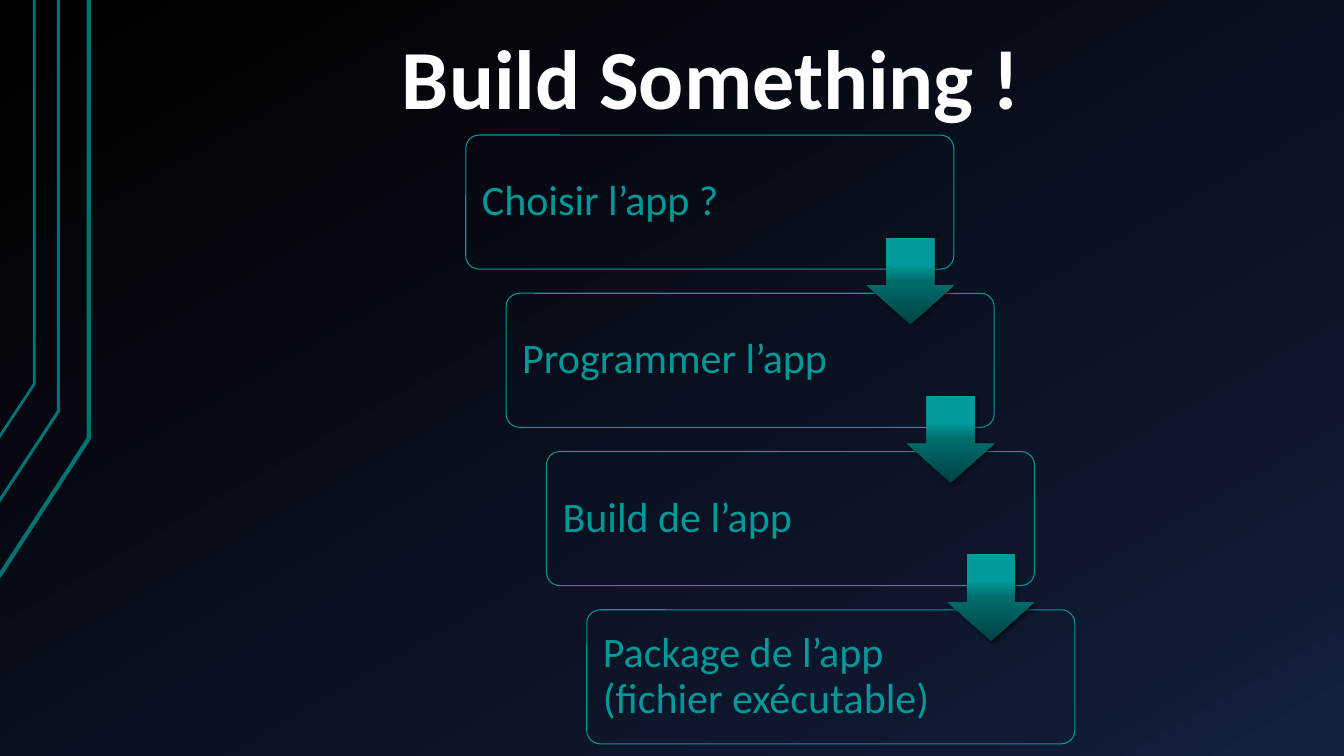
"""Build the "Build Something !" slide: four descending steps linked by arrows."""
from dataclasses import dataclass

from lxml.etree import SubElement
from pptx import Presentation
from pptx.dml.color import RGBColor
from pptx.enum.shapes import MSO_SHAPE as Preset
from pptx.enum.text import MSO_ANCHOR as Anchor, PP_ALIGN as Align
from pptx.oxml.ns import qn
from pptx.util import Inches, Pt

COLORS = {
    "title": "FFFFFF",
    "step": "009999",
    "rail": "007373",
    "shadow": "000000",
}
NIGHT = ((0, "000000"), (85, "0F1931"), (100, "142242"))
TEAL = ((0, "004343"), (50, "006C6C"), (70, "019B9B"), (100, "009999"))
FONT = "Calibri"
STEP_LEFT, STEP_TOP, STEP_SHIFT, STEP_PITCH = 4.62, 1.34, 0.4, 1.57
STEP_WIDTH, STEP_HEIGHT, ARROW_SIZE = 4.84, 1.33, 0.86


@dataclass
class Rail:
    points: tuple[tuple[float, float], ...]
    weight: float


@dataclass
class Label:
    text: str
    left: float
    top: float
    width: float
    height: float
    size: int
    color: str
    margins: tuple[float, float]
    anchor: Anchor = Anchor.MIDDLE
    align: Align = Align.LEFT
    bold: bool = False


RAILS = (
    Rail(((-0.01, 5.72), (0.88, 4.35), (0.88, 0)), 3),
    Rail(((-0.02, 4.99), (0.58, 4.08), (0.58, 0)), 2.25),
    Rail(((-0.01, 4.34), (0.34, 3.81), (0.34, 0)), 2),
)
STEPS = (
    "Choisir l’app ?",
    "Programmer l’app",
    "Build de l’app",
    "Package de l’app (fichier exécutable)",
)


def rgb(name: str) -> RGBColor:
    return RGBColor.from_string(COLORS[name])


def set_gradient(fill, owner, stops: tuple, clockwise: int) -> None:
    fill.gradient()
    fill.gradient_angle = 360 - clockwise
    stop_list = next(owner.iter(qn("a:gsLst")))
    for old_stop in list(stop_list):
        stop_list.remove(old_stop)
    for position, color in stops:
        stop = SubElement(stop_list, qn("a:gs"), pos=str(position * 1000))
        SubElement(stop, qn("a:srgbClr"), val=color)


def outline(shape, color: str, weight: float) -> None:
    shape.shadow.inherit = False
    shape.fill.background()
    shape.line.color.rgb = rgb(color)
    shape.line.width = Pt(weight)


def draw_rail(slide, rail: Rail) -> None:
    start, *rest = [(Inches(x), Inches(y)) for x, y in rail.points]
    builder = slide.shapes.build_freeform(*start)
    builder.add_line_segments(rest, close=False)
    outline(builder.convert_to_shape(), "rail", rail.weight)


def draw_label(slide, label: Label) -> None:
    bounds = (label.left, label.top, label.width, label.height)
    frame = slide.shapes.add_textbox(*map(Inches, bounds)).text_frame
    frame.word_wrap = True
    frame.vertical_anchor = label.anchor
    frame.margin_left = frame.margin_right = Inches(label.margins[0])
    frame.margin_top = frame.margin_bottom = Inches(label.margins[1])
    paragraph = frame.paragraphs[0]
    paragraph.alignment = label.align
    paragraph.line_spacing = 0.9
    run = paragraph.add_run()
    run.text = label.text
    run.font.name = FONT
    run.font.size = Pt(label.size)
    run.font.bold = label.bold
    run.font.color.rgb = rgb(label.color)


def draw_step(slide, text: str, left: float, top: float) -> None:
    card = slide.shapes.add_shape(Preset.ROUNDED_RECTANGLE, Inches(left), Inches(top),
                                  Inches(STEP_WIDTH), Inches(STEP_HEIGHT))
    card.adjustments[0] = 0.1
    outline(card, "step", 0.75)
    draw_label(slide, Label(text, left + 0.04, top + 0.04, 3.5, 1.25, 30, "step", (0.12, 0.12)))


def draw_arrow(slide, left: float, top: float) -> None:
    arrow = slide.shapes.add_shape(Preset.DOWN_ARROW, Inches(left), Inches(top),
                                   Inches(ARROW_SIZE), Inches(ARROW_SIZE))
    arrow.adjustments[0], arrow.adjustments[1] = 0.55, 0.45
    arrow.line.fill.background()
    set_gradient(arrow.fill, arrow.element, TEAL, 270)
    arrow.shadow.inherit = False
    effects = next(arrow.element.iter(qn("a:effectLst")))
    shadow = SubElement(effects, qn("a:outerShdw"), blurRad=str(Pt(3)), dist=str(Pt(2)),
                        dir=str(45 * 60000), rotWithShape="0")
    tint = SubElement(shadow, qn("a:srgbClr"), val=COLORS["shadow"])
    SubElement(tint, qn("a:alpha"), val="60000")


def main() -> None:
    deck = Presentation()
    deck.slide_width, deck.slide_height = Inches(13.33), Inches(7.5)
    slide = deck.slides.add_slide(deck.slide_layouts[6])
    set_gradient(slide.background.fill, slide.element, NIGHT, 60)
    for rail in RAILS:
        draw_rail(slide, rail)
    draw_label(slide, Label("Build Something\u00a0!", 1.39, 0, 11.33, 1.34, 60, "title",
                            (0.13, 0.07), Anchor.BOTTOM, Align.CENTER, True))
    corners = [(STEP_LEFT + i * STEP_SHIFT, STEP_TOP + i * STEP_PITCH) for i in range(len(STEPS))]
    for text, (left, top) in zip(STEPS, corners):
        draw_step(slide, text, left, top)
    for left, top in corners[:-1]:
        draw_arrow(slide, left + STEP_WIDTH - ARROW_SIZE, top + 1.02)
    deck.save("out.pptx")


main()
